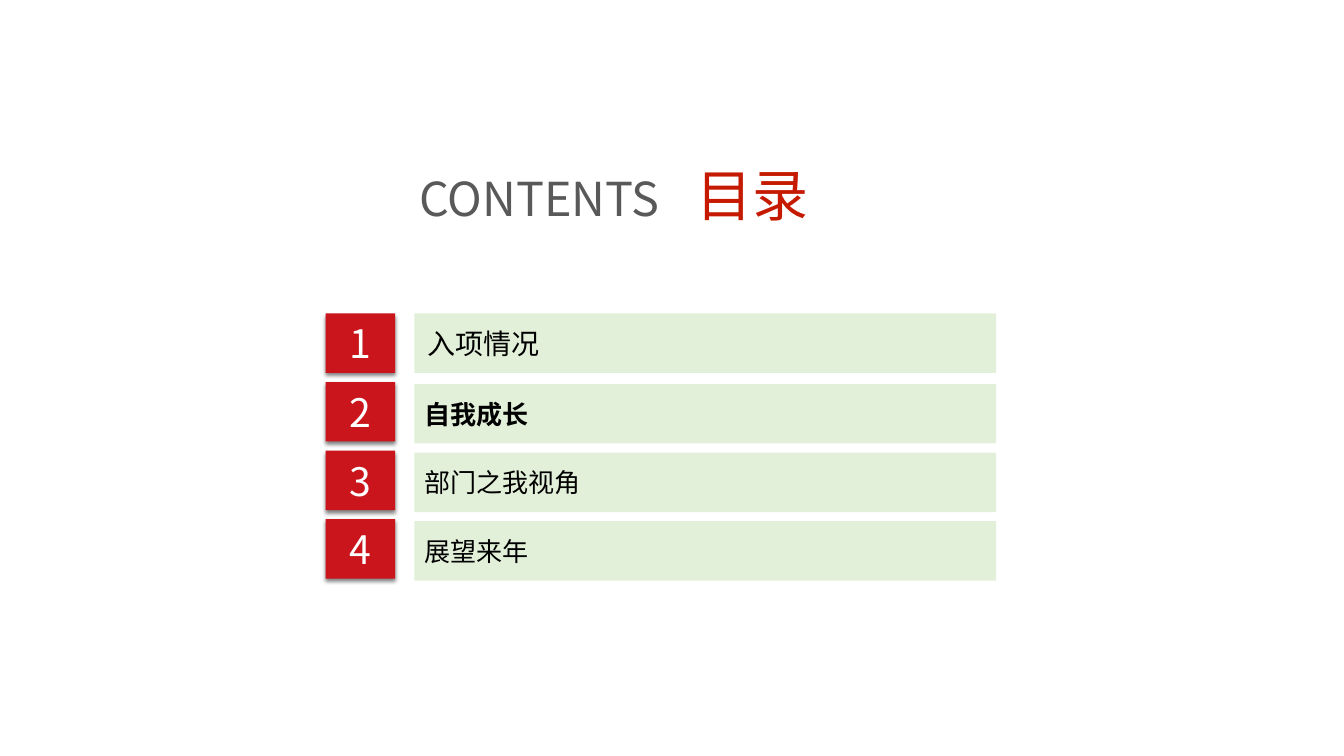
from lxml import etree
from pptx import Presentation
from pptx import util as u
from pptx.dml.color import RGBColor
from pptx.enum import shapes, text
from pptx.oxml import ns


def color(value):
    return RGBColor.from_string(value)


def add_element(parent, tag, **attributes):
    return etree.SubElement(parent, ns.qn(tag), attributes)


class ContentsSlide:
    font_name = "Noto Sans CJK SC"
    red = "CA151D"
    green = "E2F0D9"

    def __init__(self, presentation):
        self.slide = presentation.slides.add_slide(presentation.slide_layouts[6])

    def format_run(self, run, size, hex_color, bold=False):
        run.font.size = u.Pt(size)
        run.font.bold = bold
        run.font.name = self.font_name
        run.font.color.rgb = color(hex_color)
        add_element(run.font._element, "a:ea", typeface=self.font_name)

    def set_margins(self, frame, left, other):
        frame.margin_left = u.Inches(left)
        frame.margin_top = frame.margin_right = frame.margin_bottom = u.Inches(other)

    def title(self, left, top, width, height, tab, parts):
        box = self.slide.shapes.add_textbox(*map(u.Inches, (left, top, width, height)))
        frame = box.text_frame
        frame.word_wrap = True
        self.set_margins(frame, 0.02, 0.02)
        paragraph = frame.paragraphs[0]
        tabs = add_element(paragraph._p.get_or_add_pPr(), "a:tabLst")
        add_element(tabs, "a:tab", pos=str(u.Inches(tab)), algn="l")
        for words, size, hex_color in parts:
            run = paragraph.add_run()
            run.text = words
            self.format_run(run, size, hex_color)

    def block(self, left, top, width, height, fill, words, size, hex_color,
              margins, centered=False, bold=False):
        shape = self.slide.shapes.add_shape(
            shapes.MSO_SHAPE.RECTANGLE, *map(u.Inches, (left, top, width, height)))
        shape.fill.solid()
        shape.fill.fore_color.rgb = color(fill)
        shape.line.fill.background()
        shape.shadow.inherit = False
        frame = shape.text_frame
        frame.word_wrap = True
        frame.vertical_anchor = text.MSO_ANCHOR.MIDDLE
        self.set_margins(frame, *margins)
        frame.text = words
        paragraph = frame.paragraphs[0]
        paragraph.alignment = text.PP_ALIGN.CENTER if centered else text.PP_ALIGN.LEFT
        self.format_run(paragraph.runs[0], size, hex_color, bold)
        return shape

    def add_shadow(self, shape):
        effects = shape._element.spPr.find(ns.qn("a:effectLst"))
        shadow = add_element(effects, "a:outerShdw", blurRad=str(u.Pt(3)),
                             dist=str(u.Pt(2)), dir="5400000", rotWithShape="0")
        shade = add_element(shadow, "a:srgbClr", val="000000")
        add_element(shade, "a:alpha", val="50000")

    def number(self, top, value):
        shape = self.block(3.23, top, 0.69, 0.59, self.red, str(value), 28, "FFFFFF",
                           (0.04, 0.04), centered=True)
        self.add_shadow(shape)

    def entry(self, top, words, size, margins, bold):
        self.block(4.11, top, 5.77, 0.59, self.green, words, size, "000000",
                   margins, bold=bold)


def main():
    presentation = Presentation()
    presentation.slide_width = u.Inches(13.33)
    presentation.slide_height = u.Inches(7.5)
    contents = ContentsSlide(presentation)
    contents.title(4.14, 1.57, 4.02, 0.72, 2.75,
                   [("CONTENTS", 33.4, "595959"), ("\t目录", 40, "C51A00")])

    row_step = 0.68
    chapters = [
        ("入项情况", 3.11, 20, (0.13, 0.04), False),
        ("自我成长", 3.81, 18.6, (0.1, 0.03), True),
        ("部门之我视角", 4.49, 18.6, (0.1, 0.03), False),
        ("展望来年", 5.17, 18.6, (0.1, 0.03), False),
    ]
    for index, (words, top, size, margins, bold) in enumerate(chapters):
        contents.number(3.11 + index * row_step, index + 1)
        contents.entry(top, words, size, margins, bold)
    presentation.save("out.pptx")


if __name__ == "__main__":
    main()
